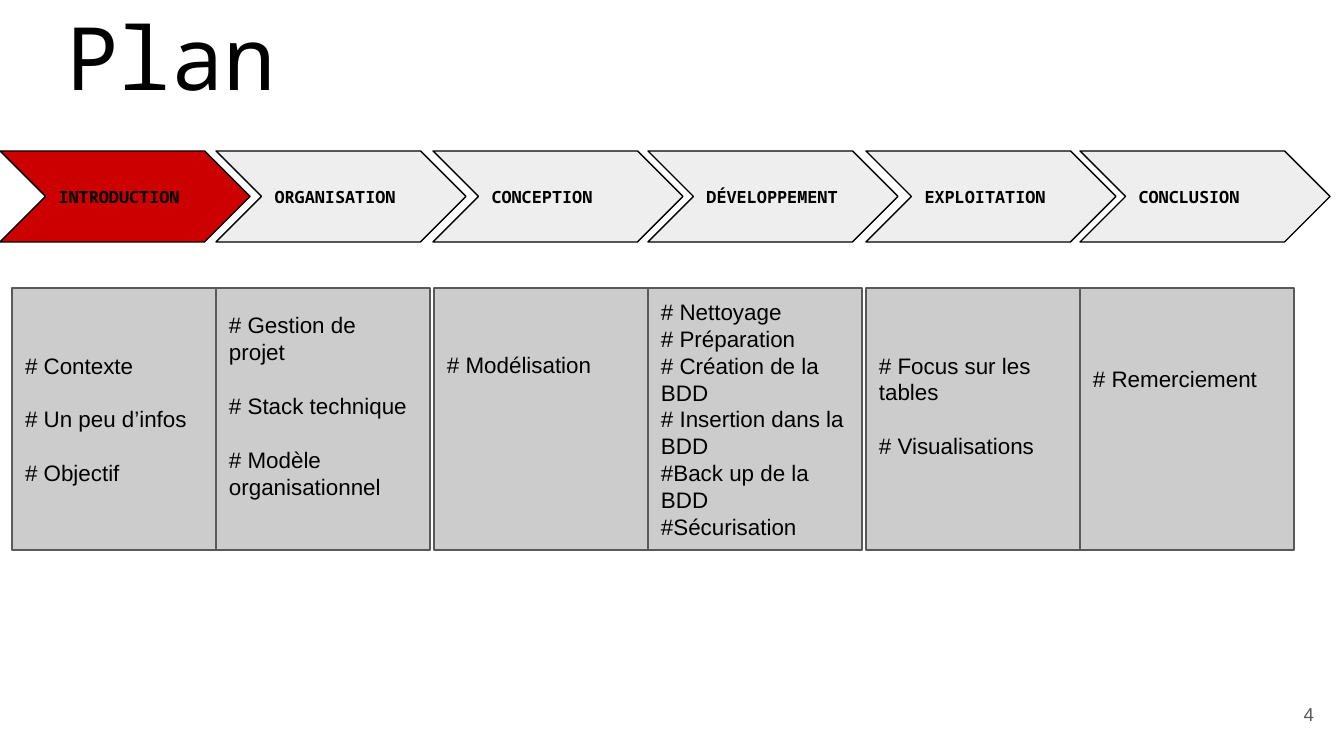
import pptx
import pptx.util
import pptx.dml.color
import pptx.enum.shapes
import pptx.enum.text

KIND = pptx.enum.shapes.MSO_SHAPE
ALIGN = pptx.enum.text.PP_ALIGN
ANCHOR = pptx.enum.text.MSO_ANCHOR
SCALE = 914400 / 134.4
PAD = 13
LINE = 27  # height of one line of body text


def px(num):
    return pptx.util.Emu(round(num * SCALE))


def tint(code):
    return pptx.dml.color.RGBColor.from_string(code)


class Deck:
    sans = "Arial"
    mono = "Noto Sans Mono"
    ink = "000000"
    gray = "595959"

    def __init__(self, wide, high):
        self.file = pptx.Presentation()
        self.file.slide_width, self.file.slide_height = px(wide), px(high)
        self.slide = self.file.slides.add_slide(self.file.slide_layouts[5])

    def label(self, shape, lines, face, size, color=None, bold=False,
              align=ALIGN.LEFT, anchor=ANCHOR.MIDDLE, gap=0, foot=0):
        frame = shape.text_frame
        frame.word_wrap = True
        frame.auto_size = pptx.enum.text.MSO_AUTO_SIZE.NONE
        frame.vertical_anchor = anchor
        frame.margin_left = frame.margin_right = frame.margin_top = px(PAD)
        frame.margin_bottom = px(PAD + foot)
        frame.text = "\n".join(lines)
        for rank, para in enumerate(frame.paragraphs):
            para.alignment = align
            para.space_before = px(gap if rank else 0)
            font = para.font
            font.name, font.size, font.bold = face, pptx.util.Pt(size), bold
            font.color.rgb = tint(color or self.ink)

    def title(self, text, left, top, wide, high):
        shape = self.slide.shapes.title
        shape.left, shape.top = px(left), px(top)
        shape.width, shape.height = px(wide), px(high)
        self.label(shape, [text], self.mono, 46.8, align=ALIGN.CENTER,
                   anchor=ANCHOR.BOTTOM)

    def shape(self, kind, left, top, wide, high, fill, line):
        shape = self.slide.shapes.add_shape(
            kind, px(left), px(top), px(wide), px(high))
        shape.shadow.inherit = False
        shape.fill.solid()
        shape.fill.fore_color.rgb = tint(fill)
        shape.line.color.rgb = tint(line)
        shape.line.width = pptx.util.Pt(0.75)
        return shape

    def step(self, text, left, fill):
        shape = self.shape(KIND.CHEVRON, left, 151, 250, 91, fill, self.ink)
        self.label(shape, [text], self.mono, 9, bold=True)

    def card(self, lines, left, wide, gap, foot):
        shape = self.shape(KIND.RECTANGLE, left, 288, wide, 262, "CCCCCC", self.gray)
        self.label(shape, lines, self.sans, 12, gap=gap * LINE, foot=foot * LINE)

    def number(self, text, left, top, wide, high):
        shape = self.slide.shapes.add_textbox(px(left), px(top), px(wide), px(high))
        self.label(shape, [text], self.sans, 10, self.gray, align=ALIGN.RIGHT)


# Each part: name, step left, card left, card width, lines between and below, topics
PARTS = [
    ("INTRODUCTION", 0, 12, 204, 1, 0,
     ["# Contexte", "# Un peu d’infos", "# Objectif"]),
    ("ORGANISATION", 216, 216, 214, 1, 1,
     ["# Gestion de projet", "# Stack technique", "# Modèle organisationnel"]),
    ("CONCEPTION", 433, 434, 214, 0, 4, ["# Modélisation"]),
    ("DÉVELOPPEMENT", 648, 648, 214, 0, 0,
     ["# Nettoyage", "# Préparation", "# Création de la BDD",
      "# Insertion dans la BDD", "#Back up de la BDD", "#Sécurisation"]),
    ("EXPLOITATION", 866, 866, 214, 1, 1,
     ["# Focus sur les tables", "# Visualisations"]),
    ("CONCLUSION", 1080, 1080, 214, 0, 3, ["# Remerciement"]),
]


def main():
    deck = Deck(1344, 756)

    # Title and page number
    deck.title("Plan", 34, 30, 274, 91)
    deck.number("4", 1246, 685, 81, 58)

    # Steps, the current one in red, with their topics below
    for rank, (name, left, side, wide, gap, foot, topics) in enumerate(PARTS):
        deck.step(name, left, "EEEEEE" if rank else "CC0000")
        deck.card(topics, side, wide, gap, foot)

    deck.file.save("out.pptx")


if __name__ == "__main__":
    main()
